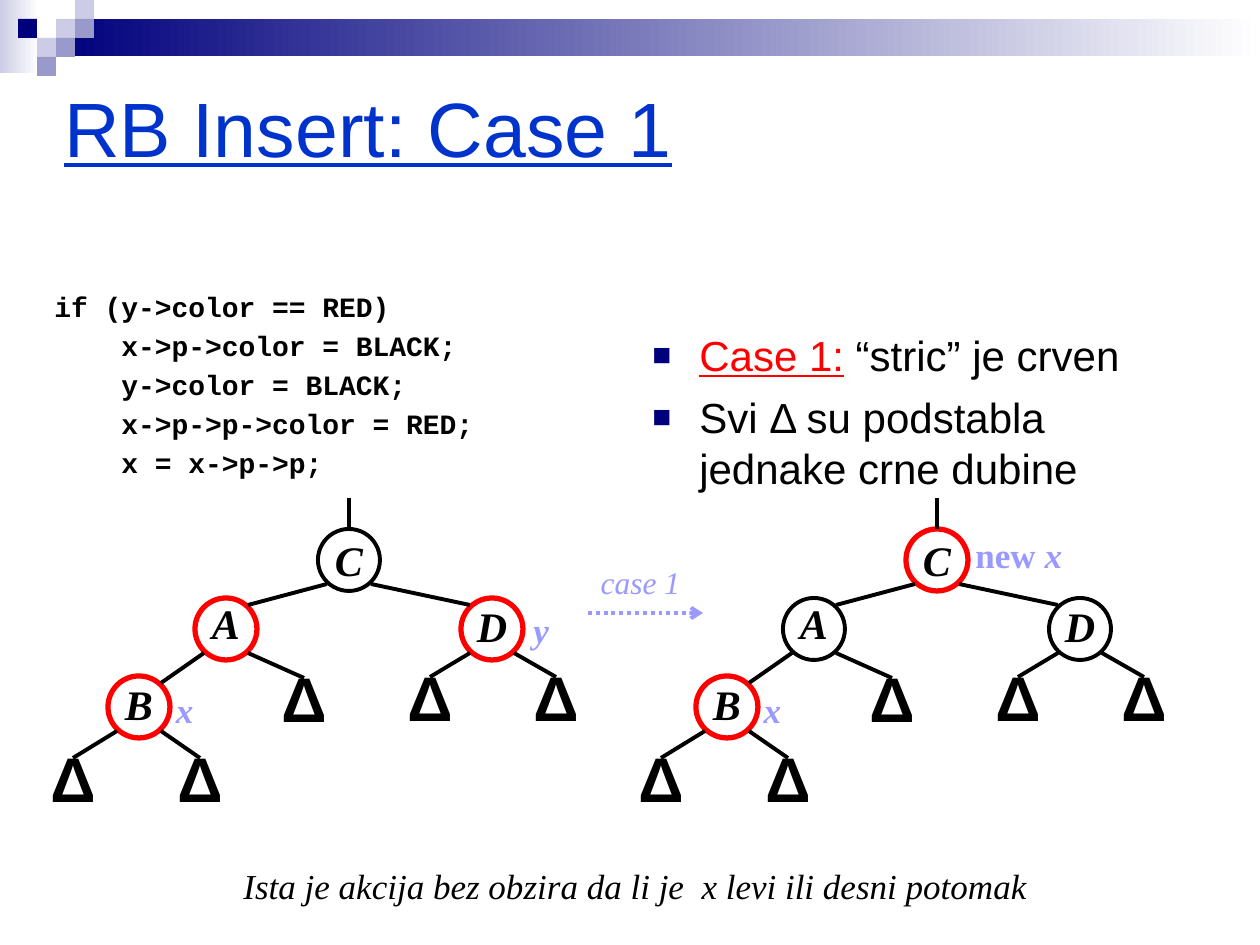
from dataclasses import dataclass

from lxml.etree import SubElement
from pptx import Presentation
from pptx.dml.color import RGBColor
from pptx.enum.dml import MSO_LINE_DASH_STYLE as Dash
from pptx.enum.shapes import MSO_CONNECTOR as Connector, MSO_SHAPE as Preset
from pptx.enum.text import MSO_ANCHOR as Anchor, PP_ALIGN as Align
from pptx.oxml.ns import qn
from pptx.util import Emu, Pt

PX = 914400 / 126


@dataclass(frozen=True)
class Theme:
    navy: str = "00007D"
    mid: str = "9999CC"
    pale: str = "CCCCE6"
    white: str = "FFFFFF"
    black: str = "000000"
    red: str = "FF0000"
    title: str = "0033CC"
    label: str = "9999FF"
    sans: str = "Arial"
    serif: str = "Times New Roman"
    mono: str = "Courier New"
    title_size: int = 44
    triangle_size: int = 36
    body_size: int = 24
    label_size: int = 20
    arrow_size: int = 18
    code_size: int = 16
    edge: float = 2.25
    red_edge: float = 3


THEME = Theme()
NODE = 62
NODES = {"C": (349, 560, 1), "A": (226, 629, 0.7),
         "D": (492, 629, 0.9), "B": (139, 707, 0.9)}  # centre, line spacing
TRIANGLES = [("B", 73, 789), ("B", 200, 789), ("A", 304, 709),
             ("D", 430, 708), ("D", 556, 708)]
BRANCHES = [("C", "A"), ("C", "D"), ("A", "B")]
CODE = """if (y->color == RED)
    x->p->color = BLACK;
    y->color = BLACK;
    x->p->p->color = RED;
    x = x->p->p;"""

VARIABLE = dict(name=THEME.serif, size=THEME.label_size, color=THEME.label, bold=True, italic=True)
LETTER = dict(VARIABLE, size=THEME.body_size, color=THEME.black)
TRIANGLE = dict(name=THEME.sans, size=THEME.triangle_size, color=THEME.black, bold=True)
BODY = dict(name=THEME.sans, size=THEME.body_size, color=THEME.black)


def px(*lengths):
    return [Emu(round(length * PX)) for length in lengths]


def rgb(color):
    return RGBColor.from_string(color)


def add_span(para, text, style):
    span = para.add_run()
    span.text = text
    for key, value in style.items():
        if key == "color":
            span.font.color.rgb = rgb(value)
        else:
            setattr(span.font, key, Pt(value) if key == "size" else value)


def set_para(para, spans, **values):
    """Format a paragraph and fill it with (text, style) pairs."""
    for key, value in values.items():
        setattr(para, key, value)
    for text, style in spans:
        add_span(para, text, style)


def add_text(page, bounds, paras, wrap=True, anchor=Anchor.TOP, gap=0, **values):
    """Add a text box; gap is the space in points between paragraphs."""
    frame = page.shapes.add_textbox(*px(*bounds)).text_frame
    frame.word_wrap = wrap
    frame.vertical_anchor = anchor
    for index, spans in enumerate(paras):
        para = frame.add_paragraph() if index else frame.paragraphs[0]
        set_para(para, spans, space_before=Pt(gap if index else 0), **values)
    return frame


def add_label(page, bounds, spans, align=Align.CENTER):
    add_text(page, bounds, [spans], wrap=False, anchor=Anchor.MIDDLE, alignment=align)


def add_bullets(frame):
    for para in frame.paragraphs:
        props = para._p.get_or_add_pPr()
        indent = px(47)[0]
        props.set("marL", str(indent))
        props.set("indent", str(-indent))
        color = SubElement(props, qn("a:buClr"))
        SubElement(color, qn("a:srgbClr"), val=THEME.navy)
        SubElement(props, qn("a:buSzPct"), val="75000")
        SubElement(props, qn("a:buFont"), typeface=THEME.sans)
        SubElement(props, qn("a:buChar"), char="■")


def add_block(page, bounds, *colors):
    """Add a plain rectangle, or a left-to-right gradient for two colours."""
    block = page.shapes.add_shape(Preset.RECTANGLE, *px(*bounds))
    block.shadow.inherit = False
    block.line.fill.background()
    if len(colors) == 1:
        block.fill.solid()
        block.fill.fore_color.rgb = rgb(colors[0])
        return
    block.fill.gradient()
    block.fill.gradient_angle = 0
    for stop, color in zip(block.fill.gradient_stops, colors):
        stop.color.rgb = rgb(color)


def add_circle(page, x, y, text, style, spacing, outline=None):
    """Add a tree element centred on x, y; without outline it is only its text."""
    circle = page.shapes.add_shape(Preset.OVAL, *px(x - NODE / 2, y - NODE / 2, NODE, NODE))
    circle.shadow.inherit = False
    if outline:
        circle.fill.solid()
        circle.fill.fore_color.rgb = rgb(THEME.white)
        circle.line.color.rgb = rgb(outline)
        circle.line.width = Pt(THEME.red_edge if outline == THEME.red else THEME.edge)
    else:
        circle.fill.background()
        circle.line.fill.background()
    frame = circle.text_frame
    frame.word_wrap = False
    frame.vertical_anchor = Anchor.MIDDLE
    set_para(frame.paragraphs[0], [(text, style)], alignment=Align.CENTER, line_spacing=spacing)


def add_line(page, start, end, color=THEME.black):
    line = page.shapes.add_connector(Connector.STRAIGHT, *px(*start, *end))
    line.line.color.rgb = rgb(color)
    line.line.width = Pt(THEME.edge)
    SubElement(line._element.spPr, qn("a:effectLst"))
    return line


def add_arrow(page, start, end):
    arrow = add_line(page, start, end, THEME.label)
    arrow.line.dash_style = Dash.ROUND_DOT
    SubElement(arrow.line._get_or_add_ln(), qn("a:tailEnd"), type="arrow")


def add_tree(page, shift, red_nodes):
    for letter, (x, y, spacing) in NODES.items():
        outline = THEME.red if letter in red_nodes else THEME.black
        add_circle(page, x + shift, y, letter, LETTER, spacing, outline)
    for _, x, y in TRIANGLES:
        add_circle(page, x + shift, y, "Δ", TRIANGLE, 0.6)
    ends = [(parent, *NODES[child][:2], 22, 24) for parent, child in BRANCHES]
    ends += [(parent, x, y, 0, 31) for parent, x, y in TRIANGLES]
    for parent, x, y, inset, rise in ends:
        parent_x, parent_y, _ = NODES[parent]
        side = 1 if x > parent_x else -1
        add_line(page, (parent_x + side * 22 + shift, parent_y + 24),
                 (x - side * inset + shift, y - rise))
    root_x, root_y, _ = NODES["C"]
    add_line(page, (root_x + shift, root_y - 31), (root_x + shift, root_y - 62))
    add_label(page, (163 + shift, 682, 43, 55), [("x", VARIABLE)])


def add_banner(page):
    add_block(page, (0, 0, 39, 73), THEME.pale, THEME.white)
    add_block(page, (57, 19, 1203, 37), THEME.navy, THEME.white)
    squares = {THEME.pale: [(3, 1), (4, 0), (2, 2)],
               THEME.mid: [(4, 1), (3, 2), (2, 3)],
               THEME.navy: [(1, 1)]}
    for color, cells in squares.items():
        for column, row in cells:
            add_block(page, (column * 19 - 1, row * 19, 19, 19), color)


def main():
    deck = Presentation()
    deck.slide_width, deck.slide_height = px(1260, 945)
    page = deck.slides.add_slide(deck.slide_layouts[6])
    add_banner(page)
    title = dict(name=THEME.sans, size=THEME.title_size, color=THEME.title, underline=True)
    add_text(page, (52, 32, 1134, 189), [[("RB Insert: Case 1", title)]], anchor=Anchor.MIDDLE)
    code = dict(name=THEME.mono, size=THEME.code_size, color=THEME.black, bold=True)
    add_text(page, (42, 287, 557, 207), [[(line, code)] for line in CODE.splitlines()],
             gap=5, line_spacing=0.9)
    case = dict(BODY, color=THEME.red, underline=True)
    add_bullets(add_text(page, (640, 323, 557, 217), [
        [("Case 1:", case), (" “stric” je crven", BODY)],
        [("Svi Δ su podstabla jednake crne dubine", BODY)]], gap=7))
    add_tree(page, 0, "ADB")
    add_tree(page, 588, "CB")
    add_label(page, (521, 602, 40, 55), [("y", VARIABLE)])
    add_label(page, (963, 527, 112, 55), [("new", dict(VARIABLE, italic=False)), (" x", VARIABLE)],
              Align.LEFT)
    add_label(page, (588, 557, 105, 50),
              [("case 1", dict(VARIABLE, size=THEME.arrow_size, bold=False))])
    add_arrow(page, (588, 613), (703, 613))
    add_label(page, (231, 858, 809, 55),
              [("Ista je akcija bez obzira da li je  x levi ili desni potomak",
                dict(VARIABLE, color=THEME.black, bold=False))])
    deck.save("out.pptx")


if __name__ == "__main__":
    main()
